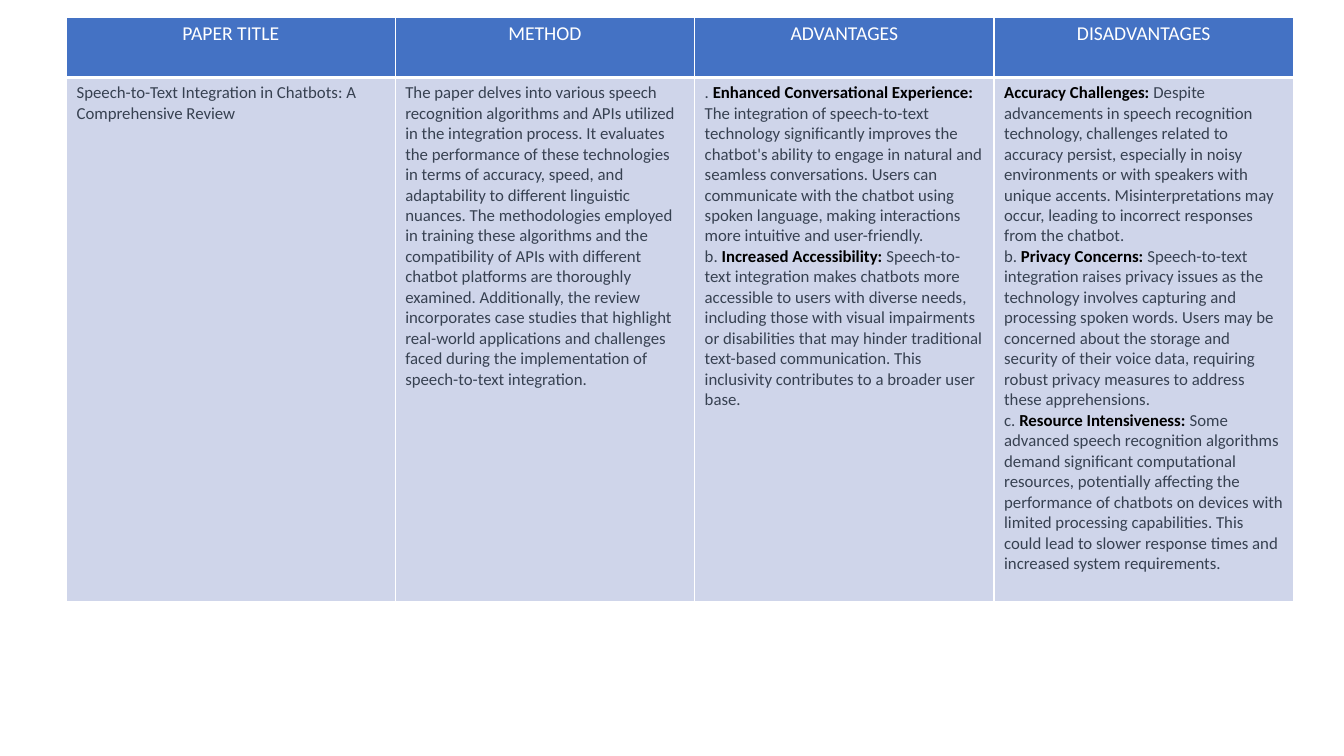
from lxml.etree import SubElement
from pptx import Presentation
from pptx.dml.color import RGBColor
from pptx.enum.text import PP_ALIGN
from pptx.oxml.ns import qn
from pptx.util import Inches, Pt

WHITE, BLACK, BLUE, PALE, SLATE = "FFFFFF", "000000", "4472C4", "CFD5EA", "374151"
COLUMN_WIDTHS = (3.26, 2.97, 2.97, 2.97)
ROW_HEIGHTS = (0.6, 5.2)
HEADERS = ("PAPER TITLE", "METHOD", "ADVANTAGES", "DISADVANTAGES")

# Each paragraph is (marker, bold heading, text).
REVIEW = (
    [("", "", "Speech-to-Text Integration in Chatbots: A Comprehensive Review")],
    [("", "",
      "The paper delves into various speech recognition algorithms and APIs utilized in the "
      "integration process. It evaluates the performance of these technologies in terms of "
      "accuracy, speed, and adaptability to different linguistic nuances. The methodologies "
      "employed in training these algorithms and the compatibility of APIs with different "
      "chatbot platforms are thoroughly examined. Additionally, the review incorporates case "
      "studies that highlight real-world applications and challenges faced during the "
      "implementation of speech-to-text integration.")],
    [(". ", "Enhanced Conversational Experience:",
      " The integration of speech-to-text technology significantly improves the chatbot's "
      "ability to engage in natural and seamless conversations. Users can communicate with the "
      "chatbot using spoken language, making interactions more intuitive and user-friendly."),
     ("b. ", "Increased Accessibility:",
      " Speech-to-text integration makes chatbots more accessible to users with diverse needs, "
      "including those with visual impairments or disabilities that may hinder traditional "
      "text-based communication. This inclusivity contributes to a broader user base.")],
    [("", "Accuracy Challenges:",
      " Despite advancements in speech recognition technology, challenges related to accuracy "
      "persist, especially in noisy environments or with speakers with unique accents. "
      "Misinterpretations may occur, leading to incorrect responses from the chatbot."),
     ("b. ", "Privacy Concerns:",
      " Speech-to-text integration raises privacy issues as the technology involves capturing "
      "and processing spoken words. Users may be concerned about the storage and security of "
      "their voice data, requiring robust privacy measures to address these apprehensions."),
     ("c. ", "Resource Intensiveness:",
      " Some advanced speech recognition algorithms demand significant computational resources, "
      "potentially affecting the performance of chatbots on devices with limited processing "
      "capabilities. This could lead to slower response times and increased system "
      "requirements.")],
)


def rgb(color):
    return RGBColor.from_string(color)


def style_cell(cell, fill, top=1, bottom=1):
    """Give the cell white borders (widths in points) and a solid fill."""
    tcPr = cell._tc.get_or_add_tcPr()
    for tag, width in (("a:lnL", 1), ("a:lnR", 1), ("a:lnT", top), ("a:lnB", bottom)):
        ln = SubElement(tcPr, qn(tag), w=str(Pt(width)))
        SubElement(SubElement(ln, qn("a:solidFill")), qn("a:srgbClr"), val=WHITE)
    cell.fill.solid()
    cell.fill.fore_color.rgb = rgb(fill)


def set_font(font, size, color):
    font.name = "Calibri"
    font.size = Pt(size)
    font.color.rgb = rgb(color)


def fill_header(cell, text):
    style_cell(cell, BLUE, bottom=3)
    p = cell.text_frame.paragraphs[0]
    p.text = text
    p.alignment = PP_ALIGN.CENTER
    set_font(p.font, 14, WHITE)
    p.runs[0].font.bold = False


def fill_body(cell, paragraphs):
    style_cell(cell, PALE, top=3)
    tf = cell.text_frame
    for i, (marker, heading, text) in enumerate(paragraphs):
        p = tf.add_paragraph() if i else tf.paragraphs[0]
        for part, color, bold in ((marker, SLATE, False), (heading, BLACK, True),
                                  (text, SLATE, False)):
            if part:
                r = p.add_run()
                r.text = part
                set_font(r.font, 12, color)
                r.font.bold = bold


def add_review_table(s):
    table = s.shapes.add_table(
        len(ROW_HEIGHTS), len(COLUMN_WIDTHS), Inches(0.66), Inches(0.17),
        Inches(sum(COLUMN_WIDTHS)), Inches(sum(ROW_HEIGHTS))).table
    for row, height in zip(table.rows, ROW_HEIGHTS):
        row.height = Inches(height)
    for i, width in enumerate(COLUMN_WIDTHS):
        table.columns[i].width = Inches(width)
        fill_header(table.cell(0, i), HEADERS[i])
        fill_body(table.cell(1, i), REVIEW[i])


def main():
    prs = Presentation()
    prs.slide_width = Inches(13.33)
    prs.slide_height = Inches(7.5)
    s = prs.slides.add_slide(prs.slide_layouts[6])
    add_review_table(s)
    prs.save("out.pptx")


if __name__ == "__main__":
    main()
